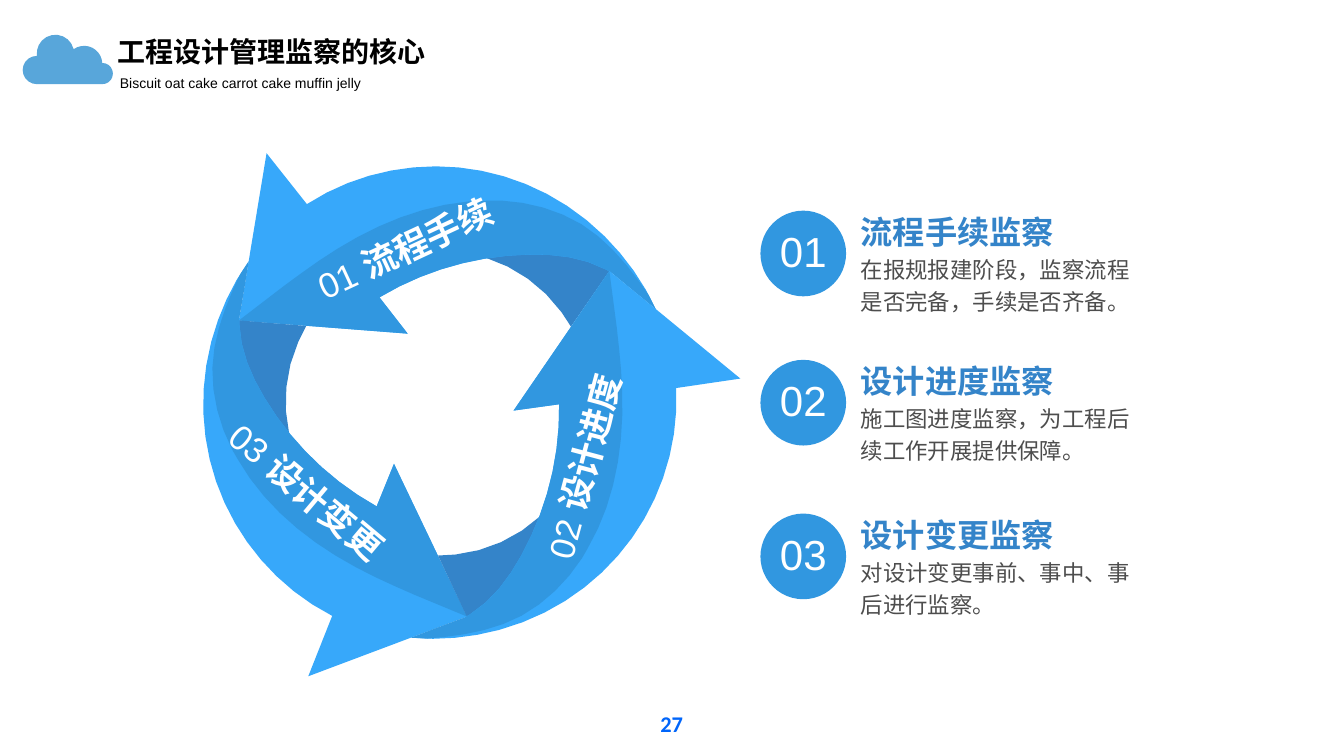
import math

import pptx
import pptx.dml.color
import pptx.enum.shapes
import pptx.enum.text
import pptx.util

PX = 9144
CHORD = 50
ARC_STEPS = 10
RING_CENTER = (870, 799)

RGBColor = pptx.dml.color.RGBColor
DARK_BLUE = RGBColor(0x34, 0x84, 0xC9)
MID_BLUE = RGBColor(0x31, 0x97, 0xE0)
LIGHT_BLUE = RGBColor(0x37, 0xA8, 0xFA)
CLOUD_BLUE = RGBColor(0x58, 0xA6, 0xDA)
PAGE_BLUE = RGBColor(0x00, 0x65, 0xFA)
GREY = RGBColor(0x4D, 0x4D, 0x4D)
BLACK = RGBColor(0x00, 0x00, 0x00)
WHITE = RGBColor(0xFF, 0xFF, 0xFF)

LEFT = pptx.enum.text.PP_ALIGN.LEFT
CENTER = pptx.enum.text.PP_ALIGN.CENTER
TOP = pptx.enum.text.MSO_ANCHOR.TOP
MIDDLE = pptx.enum.text.MSO_ANCHOR.MIDDLE

ARROW_FOLD = [
    (1051, 503), (1036, 503, 1021, 504, 1006, 505),
    (992, 506, 977, 508, 963, 511), (1024, 530, 1077, 568, 1114, 619),
    (1121, 629, 1128, 638, 1133, 648), (1210, 537),
    (1208, 536, 1206, 535, 1204, 534), (1180, 521, 1155, 513, 1129, 508),
    (1103, 504, 1077, 503, 1051, 503),
]
ARROW_BODY = [
    (529, 304), (474, 636), (809, 662), (753, 590),
    (843, 536, 946, 507, 1051, 505), (1103, 504, 1156, 510, 1203, 535),
    (1213, 540, 1222, 545, 1231, 551), (1244, 560, 1256, 570, 1268, 580),
    (1279, 590, 1291, 601, 1301, 613), (1277, 560, 1243, 512, 1200, 469),
    (1107, 377, 986, 330, 865, 330), (776, 330, 686, 355, 609, 405),
]
ARROW_BAND = [
    (973, 398), (867, 397, 762, 436, 669, 494),
    (633, 516, 598, 542, 564, 567), (474, 636), (809, 662), (753, 590),
    (843, 536, 946, 507, 1051, 505), (1103, 504, 1157, 510, 1203, 535),
    (1212, 540), (1264, 583), (1301, 613),
    (1294, 599), (1287, 585), (1281, 576, 1275, 567, 1268, 558),
    (1236, 514, 1199, 473, 1154, 445), (1106, 416, 1051, 401, 995, 398),
]
ARROW_PARTS = [
    (ARROW_FOLD, DARK_BLUE), (ARROW_BODY, LIGHT_BLUE), (ARROW_BAND, MID_BLUE),
]
ARROW_TURNS = [0, 240, 120]

RING_LABELS = [
    ("01", "流程手续", 590, 439, 335),
    ("03", "设计变更", 396, 922, 40),
    ("02", "设计进度", 944, 872, 285),
]
ITEMS = [
    ("01", "流程手续监察", "在报规报建阶段，监察流程是否完备，手续是否齐备。", 418, 167),
    ("02", "设计进度监察", "施工图进度监察，为工程后续工作开展提供保障。", 714, 138),
    ("03", "设计变更监察", "对设计变更事前、事中、事后进行监察。", 1019, 157),
]
CLOUD_ARCS = [
    (167, 127, 36, -3, -124),
    (110, 106, 37, -14, -188),
    (73, 139, 28, -90, -270),
    (203, 146, 21, 90, -90),
]


def emu(*lengths):
    return [round(length * PX) for length in lengths]


def flatten(outline):
    points = []
    for segment in outline:
        if len(segment) == 2:
            points.append(segment)
            continue
        controls = [points[-1], segment[:2], segment[2:4], segment[4:]]
        steps = math.ceil(math.dist(controls[0], controls[3]) / CHORD)
        for step in range(1, steps + 1):
            t = step / steps
            weights = [math.comb(3, k) * (1 - t) ** (3 - k) * t ** k for k in range(4)]
            points.append(tuple(
                sum(w * control[axis] for w, control in zip(weights, controls))
                for axis in (0, 1)))
    return points


def turn(point, degrees):
    angle = math.radians(degrees)
    x, y = point[0] - RING_CENTER[0], point[1] - RING_CENTER[1]
    return (RING_CENTER[0] + x * math.cos(angle) - y * math.sin(angle),
            RING_CENTER[1] + x * math.sin(angle) + y * math.cos(angle))


def arc_points(x, y, radius, start, end):
    angles = [math.radians(start + (end - start) * step / ARC_STEPS)
              for step in range(ARC_STEPS + 1)]
    return [(x + radius * math.cos(a), y + radius * math.sin(a)) for a in angles]


def paint(shape, color):
    shape.shadow.inherit = False
    shape.fill.solid()
    shape.fill.fore_color.rgb = color
    shape.line.fill.background()


def add_outline(shapes, points, color):
    points = [emu(*point) for point in points]
    builder = shapes.build_freeform(*points[0])
    builder.add_line_segments(points[1:])
    paint(builder.convert_to_shape(), color)


def write(shape, text, size, color, bold=False, font="Arial", align=LEFT,
          anchor=TOP, inset=0, spacing=None, bold_tail=None):
    frame = shape.text_frame
    frame.word_wrap = True
    frame.vertical_anchor = anchor
    frame.margin_left = frame.margin_right = inset * PX
    frame.margin_top = frame.margin_bottom = inset * PX
    paragraph = frame.paragraphs[0]
    paragraph.alignment = align
    if spacing:
        paragraph.line_spacing = spacing
    paragraph.font.name = font
    paragraph.font.size = pptx.util.Pt(size)
    paragraph.font.color.rgb = color
    paragraph.font.bold = bold
    paragraph.add_run().text = text
    if bold_tail:
        run = paragraph.add_run()
        run.text = bold_tail
        run.font.bold = True


def add_text(shapes, box, *content, **style):
    shape = shapes.add_textbox(*emu(*box))
    write(shape, *content, **style)
    return shape


def add_ring(slide):
    shapes = slide.shapes.add_group_shape().shapes
    for degrees in ARROW_TURNS:
        for outline, color in ARROW_PARTS:
            points = [turn(point, degrees) for point in flatten(outline)]
            add_outline(shapes, points, color)
    for number, name, left, top, rotation in RING_LABELS:
        label = add_text(shapes, (left, top, 427, 106), number + " ", 50, WHITE,
                         align=CENTER, anchor=MIDDLE, bold_tail=name)
        label.rotation = rotation


def add_item(slide, number, heading, body, top, body_height):
    shapes = slide.shapes.add_group_shape().shapes
    badge = shapes.add_shape(pptx.enum.shapes.MSO_SHAPE.OVAL, *emu(1509, top, 170, 170))
    paint(badge, MID_BLUE)
    write(badge, number, 60, WHITE, align=CENTER, anchor=MIDDLE, spacing=0.9)
    add_text(shapes, (1708, top + 79, 556, body_height), body, 32, GREY, spacing=1.2)
    add_text(shapes, (1708, top, 427, 83), heading, 46, DARK_BLUE, bold=True,
             anchor=MIDDLE)


def add_header(slide):
    add_text(slide.shapes, (224, 59, 752, 98), "工程设计管理监察的核心", 40, BLACK,
             bold=True, font="Noto Sans CJK SC", inset=10)
    add_text(slide.shapes, (228, 138, 586, 51),
             "Biscuit oat cake carrot cake muffin jelly", 20, BLACK, inset=10)
    cloud = [point for arc in CLOUD_ARCS for point in arc_points(*arc)]
    add_outline(slide.shapes, cloud, CLOUD_BLUE)


def main():
    presentation = pptx.Presentation()
    presentation.slide_width, presentation.slide_height = emu(2667, 1500)
    slide = presentation.slides.add_slide(presentation.slide_layouts[6])
    add_text(slide.shapes, (1286, 1399, 94, 73), "27", 32, PAGE_BLUE, bold=True,
             font="Calibri", align=CENTER, anchor=MIDDLE, inset=10)
    add_ring(slide)
    for item in ITEMS:
        add_item(slide, *item)
    add_header(slide)
    presentation.save("out.pptx")


if __name__ == "__main__":
    main()
